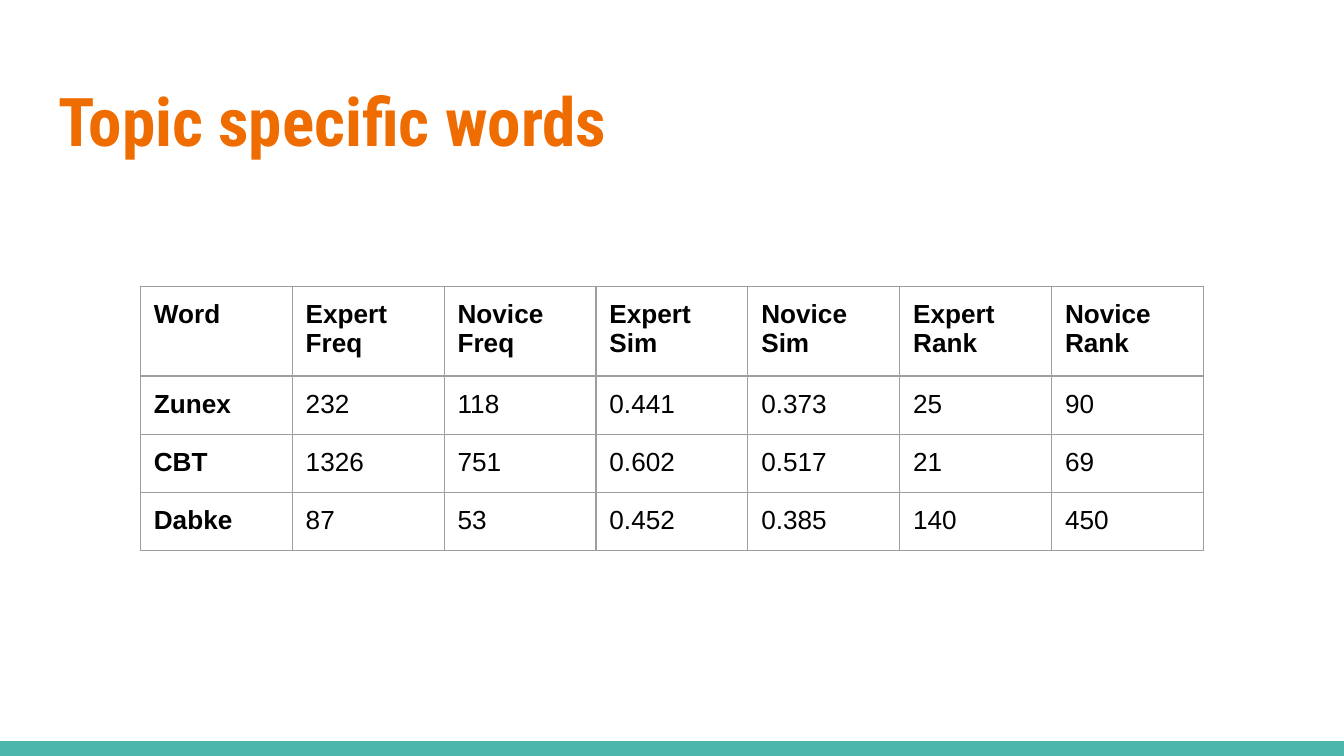
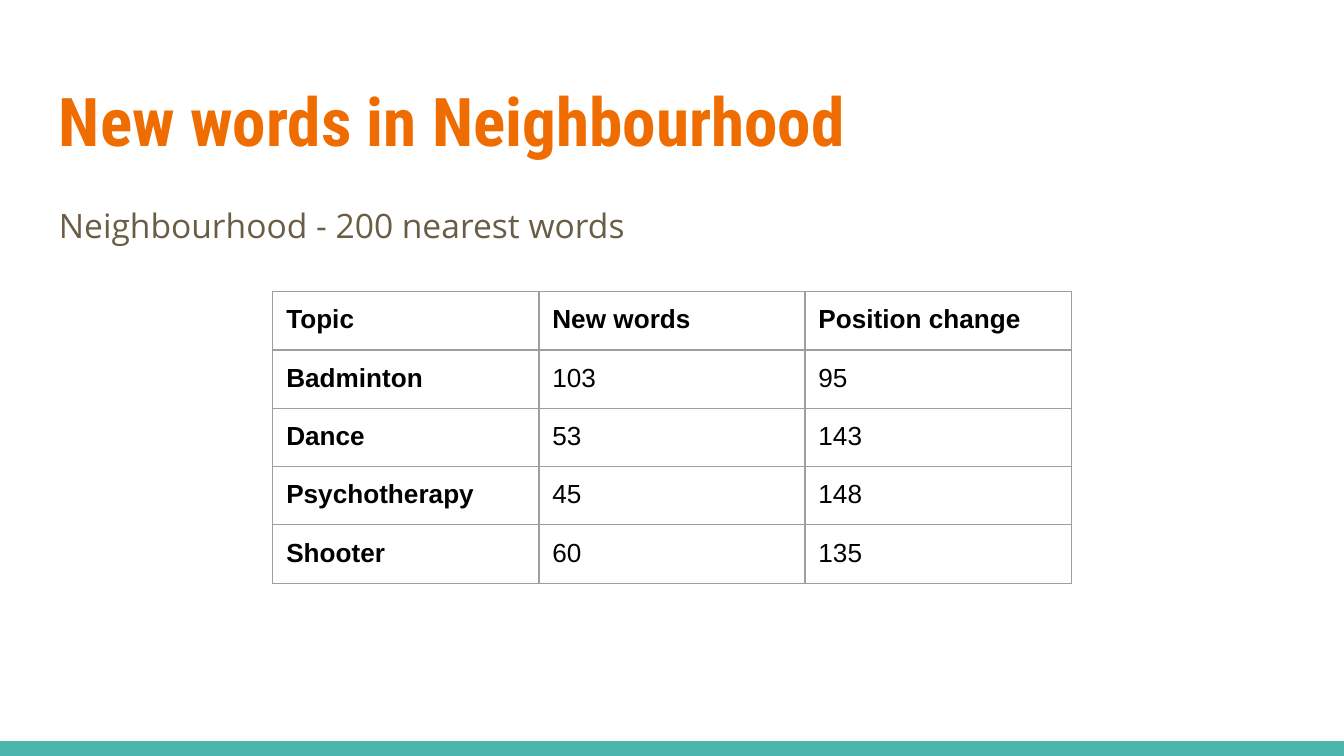
"""Build two slides of word statistics with a shared title and footer style."""
from dataclasses import dataclass

from lxml.etree import SubElement
from pptx import Presentation
from pptx.dml.color import RGBColor
from pptx.enum.shapes import MSO_SHAPE
from pptx.enum.text import MSO_ANCHOR
from pptx.oxml.ns import qn
from pptx.presentation import Presentation as Deck
from pptx.slide import Slide
from pptx.table import _Cell as Cell
from pptx.text.text import TextFrame
from pptx.util import Inches, Pt

SLIDE_WIDTH = 10
SLIDE_HEIGHT = SLIDE_WIDTH * 9 / 16
FOOTER_HEIGHT = 0.11
MARGIN = 0.34
INSET = Inches(0.1)
TABLE_FRAME = Inches(3.28)
TEAL, ORANGE, BROWN = "4DB6AC", "EF6C00", "695D46"
BLACK, GREY = "000000", "9E9E9E"


@dataclass(frozen=True)
class TextStyle:
    """Font settings of one kind of text."""

    font: str
    size: float
    color: str
    bold: bool = False


@dataclass(frozen=True)
class WordTable:
    """Rows of a horizontally centred table and its measures in inches."""

    top: float
    column_width: float
    row_heights: tuple[float, ...]
    rows: tuple[tuple[str, ...], ...]


@dataclass(frozen=True)
class Page:
    """Content of one slide."""

    title: str
    table: WordTable
    note: str = ""


TITLE = TextStyle("Roboto Condensed", 36, ORANGE, True)
NOTE = TextStyle("Open Sans", 18, BROWN)
HEADING = TextStyle("Arial", 14, BLACK, True)
VALUE = TextStyle("Arial", 14, BLACK)

PAGES = (
    Page(
        "Topic specific words",
        WordTable(2.13, 1.13, (0.57, 0.4, 0.4, 0.4), (
            ("Word", "Expert Freq", "Novice Freq", "Expert Sim", "Novice Sim",
             "Expert Rank", "Novice Rank"),
            ("Zunex", "232", "118", "0.441", "0.373", "25", "90"),
            ("CBT", "1326", "751", "0.602", "0.517", "21", "69"),
            ("Dabke", "87", "53", "0.452", "0.385", "140", "450"),
        )),
    ),
    Page(
        "New words in Neighbourhood",
        WordTable(2.17, 1.98, (0.42,) * 5, (
            ("Topic", "New words", "Position change"),
            ("Badminton", "103", "95"),
            ("Dance", "53", "143"),
            ("Psychotherapy", "45", "148"),
            ("Shooter", "60", "135"),
        )),
        "Neighbourhood - 200 nearest words",
    ),
)


def rgb(color: str) -> RGBColor:
    """Turn a hex string into a colour."""
    return RGBColor.from_string(color)


def write(frame: TextFrame, text: str, style: TextStyle) -> None:
    """Set the text of a frame and format its runs."""
    frame.text = text
    for paragraph in frame.paragraphs:
        paragraph.line_spacing = 1.0
        for run in paragraph.runs:
            run.font.name = style.font
            run.font.size = Pt(style.size)
            run.font.bold = style.bold
            run.font.color.rgb = rgb(style.color)


def add_text(slide: Slide, top: float, height: float, text: str,
             style: TextStyle) -> TextFrame:
    """Add a wrapped text box between the slide margins."""
    box = slide.shapes.add_textbox(Inches(MARGIN), Inches(top),
                                   Inches(SLIDE_WIDTH - 2 * MARGIN), Inches(height))
    frame = box.text_frame
    frame.word_wrap = True
    frame.vertical_anchor = MSO_ANCHOR.TOP
    frame.margin_left = frame.margin_right = INSET
    frame.margin_top = frame.margin_bottom = INSET
    write(frame, text, style)
    return frame


def add_footer(slide: Slide) -> None:
    """Add the coloured band along the bottom edge."""
    band = slide.shapes.add_shape(
        MSO_SHAPE.RECTANGLE, Inches(0), Inches(SLIDE_HEIGHT - FOOTER_HEIGHT),
        Inches(SLIDE_WIDTH), Inches(FOOTER_HEIGHT))
    band.shadow.inherit = False
    band.fill.solid()
    band.fill.fore_color.rgb = rgb(TEAL)
    band.line.fill.background()


def style_cell(cell: Cell) -> None:
    """Give a cell thin grey borders, equal insets and no fill."""
    properties = cell._tc.get_or_add_tcPr()
    for side in ("a:lnL", "a:lnR", "a:lnT", "a:lnB"):
        border = SubElement(properties, qn(side), w=str(Pt(0.75)))
        fill = SubElement(border, qn("a:solidFill"))
        SubElement(fill, qn("a:srgbClr"), val=GREY)
    cell.fill.background()
    cell.vertical_anchor = MSO_ANCHOR.TOP
    cell.margin_left = cell.margin_right = INSET
    cell.margin_top = cell.margin_bottom = INSET


def add_word_table(slide: Slide, words: WordTable) -> None:
    """Add a centred table with a bold first row and first column."""
    column_count = len(words.rows[0])
    left = (SLIDE_WIDTH - column_count * words.column_width) / 2
    holder = slide.shapes.add_table(
        len(words.rows), column_count, Inches(left), Inches(words.top),
        TABLE_FRAME, TABLE_FRAME)
    table = holder.table
    table.first_row = table.horz_banding = False
    for column in table.columns:
        column.width = Inches(words.column_width)
    for row, height in zip(table.rows, words.row_heights):
        row.height = Inches(height)
    holder.width = holder.height = TABLE_FRAME
    for row_index, row_texts in enumerate(words.rows):
        for column_index, text in enumerate(row_texts):
            cell = table.cell(row_index, column_index)
            style_cell(cell)
            is_heading = row_index == 0 or column_index == 0
            write(cell.text_frame, text, HEADING if is_heading else VALUE)


def add_page(deck: Deck, page: Page) -> None:
    """Add one slide with its footer, title, note and table."""
    slide = deck.slides.add_slide(deck.slide_layouts[6])
    add_footer(slide)
    add_text(slide, 0.49, 0.77, page.title, TITLE)
    if page.note:
        note = add_text(slide, 1.38, 3.61, page.note, NOTE).paragraphs[0]
        note.line_spacing = 1.15
        note.space_after = Pt(16)
    add_word_table(slide, page.table)


def main() -> None:
    """Build and save the presentation."""
    deck = Presentation()
    deck.slide_width = Inches(SLIDE_WIDTH)
    deck.slide_height = Inches(SLIDE_HEIGHT)
    for page in PAGES:
        add_page(deck, page)
    deck.save("out.pptx")


if __name__ == "__main__":
    main()
